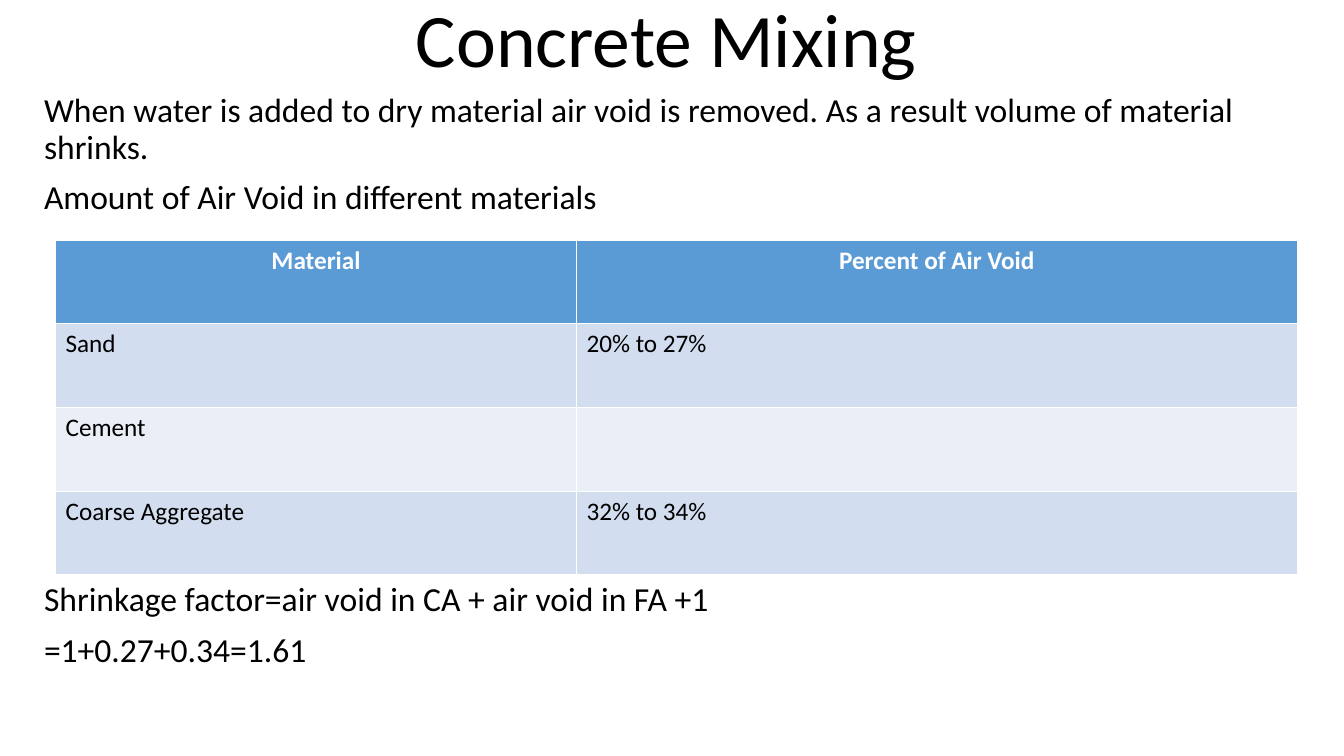
from pptx import Presentation
from pptx import util as u
from pptx.dml.color import RGBColor
from pptx.enum import text as t

BLACK = RGBColor(0x00, 0x00, 0x00)
WHITE = RGBColor(0xFF, 0xFF, 0xFF)
HEADER_BLUE = RGBColor(0x5B, 0x9B, 0xD5)
BAND_DARK = RGBColor(0xD2, 0xDE, 0xEF)
BAND_LIGHT = RGBColor(0xEA, 0xEF, 0xF7)

AIR_VOIDS = [
    ("Material", "Percent of Air Void"),
    ("Sand ", "20% to 27%"),
    ("Cement", ""),
    ("Coarse Aggregate", "32% to 34%"),
]
COLUMN_WIDTHS = (13.13, 18.16)
ROW_HEIGHT = 2.11


def write_text(frame, *lines, size=18, color=BLACK, bold=False,
               align=t.PP_ALIGN.LEFT, line_spacing=1.0, space_before=0):
    for index, line in enumerate(lines):
        paragraph = frame.add_paragraph() if index else frame.paragraphs[0]
        paragraph.alignment = align
        paragraph.line_spacing = line_spacing
        paragraph.space_before = u.Pt(space_before)
        paragraph.font.size = u.Pt(size)
        if line:
            run = paragraph.add_run()
            run.text = line
            run.font.name = "Calibri"
            run.font.size = u.Pt(size)
            run.font.bold = bold
            run.font.color.rgb = color


def add_text_box(slide, left, top, width, height, *lines,
                 anchor=t.MSO_ANCHOR.TOP, **text_format):
    box = slide.shapes.add_textbox(u.Cm(left), u.Cm(top), u.Cm(width), u.Cm(height))
    frame = box.text_frame
    frame.word_wrap = True
    frame.vertical_anchor = anchor
    write_text(frame, *lines, line_spacing=0.9, space_before=10, **text_format)


def add_void_table(slide, left, top):
    table = slide.shapes.add_table(
        len(AIR_VOIDS), len(COLUMN_WIDTHS), u.Cm(left), u.Cm(top),
        u.Cm(sum(COLUMN_WIDTHS)), u.Cm(ROW_HEIGHT * len(AIR_VOIDS))).table
    for column, width in zip(table.columns, COLUMN_WIDTHS):
        column.width = u.Cm(width)
    for row_index, values in enumerate(AIR_VOIDS):
        table.rows[row_index].height = u.Cm(ROW_HEIGHT)
        if row_index == 0:
            fill = HEADER_BLUE
            text_format = dict(color=WHITE, bold=True, align=t.PP_ALIGN.CENTER)
        else:
            fill = BAND_DARK if row_index % 2 else BAND_LIGHT
            text_format = {}
        for column_index, value in enumerate(values):
            cell = table.cell(row_index, column_index)
            cell.fill.solid()
            cell.fill.fore_color.rgb = fill
            write_text(cell.text_frame, value, **text_format)


def main():
    presentation = Presentation()
    presentation.slide_width = u.Cm(33.87)
    presentation.slide_height = u.Cm(19.05)
    slide = presentation.slides.add_slide(presentation.slide_layouts[6])
    add_text_box(slide, 0.36, 0, 32.87, 2.24, "Concrete Mixing", size=54,
                 align=t.PP_ALIGN.CENTER, anchor=t.MSO_ANCHOR.BOTTOM)
    add_text_box(slide, 0.86, 2.24, 32.13, 3.4,
                 "When water is added to dry material air void is removed. "
                 "As a result volume of material shrinks.",
                 "Amount of Air Void in different materials", size=24)
    add_void_table(slide, 1.4, 6.05)
    add_text_box(slide, 0.86, 14.56, 32.13, 2.79,
                 "Shrinkage factor=air void in CA + air void in FA +1",
                 "=1+0.27+0.34=1.61", size=24)
    presentation.save("out.pptx")


main()
